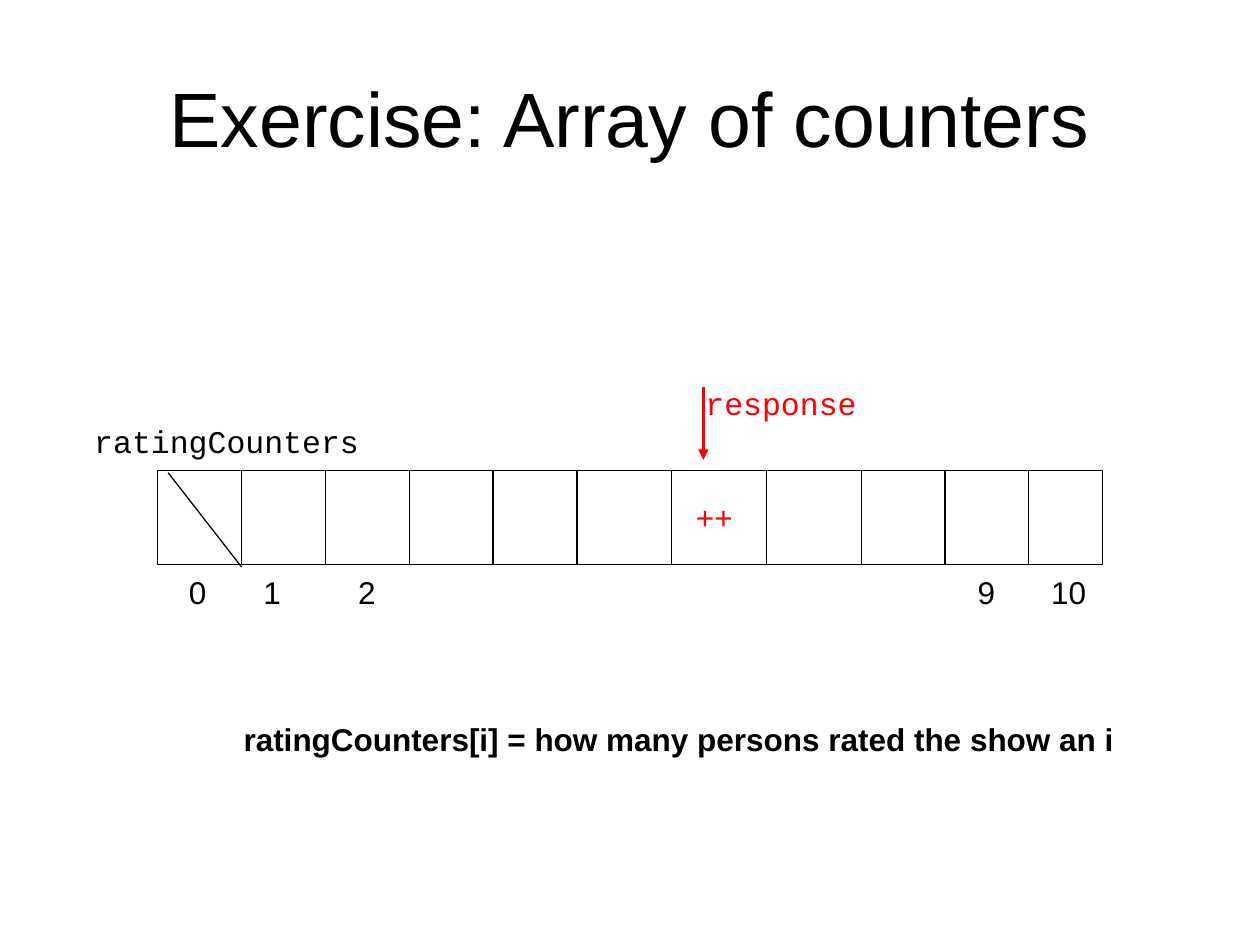
from dataclasses import dataclass
from itertools import accumulate

from lxml import etree
from pptx import Presentation
from pptx.dml.color import RGBColor
from pptx.enum.shapes import MSO_CONNECTOR, MSO_SHAPE
from pptx.enum.text import MSO_ANCHOR, MSO_AUTO_SIZE, PP_ALIGN
from pptx.oxml.ns import qn
from pptx.util import Cm, Pt

STRAIGHT = MSO_CONNECTOR.STRAIGHT
RECTANGLE = MSO_SHAPE.RECTANGLE
MIDDLE = MSO_ANCHOR.MIDDLE
FIT_SHAPE = MSO_AUTO_SIZE.SHAPE_TO_FIT_TEXT
CENTER = PP_ALIGN.CENTER

COLORS = {"ink": "000000", "accent": "FF0000"}
SANS, MONO = "Arial", "Courier New"

# Array geometry in centimetres
ARRAY_LEFT, ARRAY_TOP, CELL_HEIGHT = 3.18, 9.48, 1.9
NARROW, WIDE, LAST = 1.69, 1.91, 1.48
CELL_WIDTHS = [NARROW] * 5 + [WIDE] * 3 + [NARROW] * 2 + [LAST]
ARRAY_BOTTOM = ARRAY_TOP + CELL_HEIGHT
INDEX_TOP = 11.43


@dataclass
class Label:
    text: str
    left: float
    top: float
    width: float
    font: str = SANS
    color: str = "ink"
    bold: bool = False


@dataclass
class Line:
    x1: float
    y1: float
    x2: float
    y2: float
    color: str = "ink"
    width: float = 0.75
    arrow: bool = False


LABELS = [
    Label("ratingCounters", 1.65, 8.38, 5.84, font=MONO),
    Label("0", 3.56, INDEX_TOP, 0.86),
    Label("1", 5.06, INDEX_TOP, 0.86),
    Label("2", 6.97, INDEX_TOP, 0.86),
    Label("9", 19.46, INDEX_TOP, 0.86),
    Label("10", 20.94, INDEX_TOP, 1.24),
    Label("response", 13.97, 7.62, 3.56, font=MONO, color="accent"),
    Label("++", 13.78, 9.91, 1.4, color="accent"),
    Label("ratingCounters[i] = how many persons rated the show an i",
          4.66, 14.4, 18.26, bold=True),
]


def write(frame, text: str, *, size: float = 18, font: str = SANS,
          color: str = "ink", bold: bool = False, align=None) -> None:
    para = frame.paragraphs[0]
    para.alignment = align
    span = para.add_run()
    span.text = text
    span.font.size = Pt(size)
    span.font.name = font
    span.font.bold = bold
    span.font.color.rgb = RGBColor.from_string(COLORS[color])


def draw_label(page, label: Label) -> None:
    box = page.shapes.add_textbox(Cm(label.left), Cm(label.top),
                                  Cm(label.width), Cm(1.02))
    box.text_frame.word_wrap = False
    box.text_frame.auto_size = FIT_SHAPE
    write(box.text_frame, label.text, font=label.font, color=label.color,
          bold=label.bold)


def draw_line(page, line: Line) -> None:
    connector = page.shapes.add_connector(
        STRAIGHT, Cm(line.x1), Cm(line.y1), Cm(line.x2), Cm(line.y2))
    connector.line.color.rgb = RGBColor.from_string(COLORS[line.color])
    connector.line.width = Pt(line.width)
    if line.arrow:
        outline = connector.line._get_or_add_ln()
        etree.SubElement(outline, qn("a:tailEnd"), type="triangle")
    etree.SubElement(connector._element.spPr, qn("a:effectLst"))


def draw_array(page) -> None:
    frame = page.shapes.add_shape(RECTANGLE, Cm(ARRAY_LEFT), Cm(ARRAY_TOP),
                                  Cm(sum(CELL_WIDTHS)), Cm(CELL_HEIGHT))
    frame.shadow.inherit = False
    frame.fill.background()
    frame.line.color.rgb = RGBColor.from_string(COLORS["ink"])
    frame.line.width = Pt(0.75)
    for x in accumulate(CELL_WIDTHS[:-1], initial=ARRAY_LEFT):
        if x > ARRAY_LEFT:
            draw_line(page, Line(x, ARRAY_TOP, x, ARRAY_BOTTOM))


def main() -> None:
    deck = Presentation()
    deck.slide_width, deck.slide_height = Cm(25.4), Cm(19.05)
    page = deck.slides.add_slide(deck.slide_layouts.get_by_name("Title Only"))

    # Title
    title = page.shapes.title
    title.left, title.top = Cm(1.27), Cm(0.76)
    title.width, title.height = Cm(22.86), Cm(3.18)
    title.text_frame.vertical_anchor = MIDDLE
    write(title.text_frame, "Exercise: Array of counters", size=44, align=CENTER)

    # Array with its labels
    draw_array(page)
    for label in LABELS:
        draw_label(page, label)

    # Unused first cell and arrow to the current counter
    draw_line(page, Line(3.39, 9.53, 4.87, 11.43))
    draw_line(page, Line(14.18, 7.8, 14.18, 9.27, color="accent", width=1.25,
                         arrow=True))

    deck.save("out.pptx")


if __name__ == "__main__":
    main()
